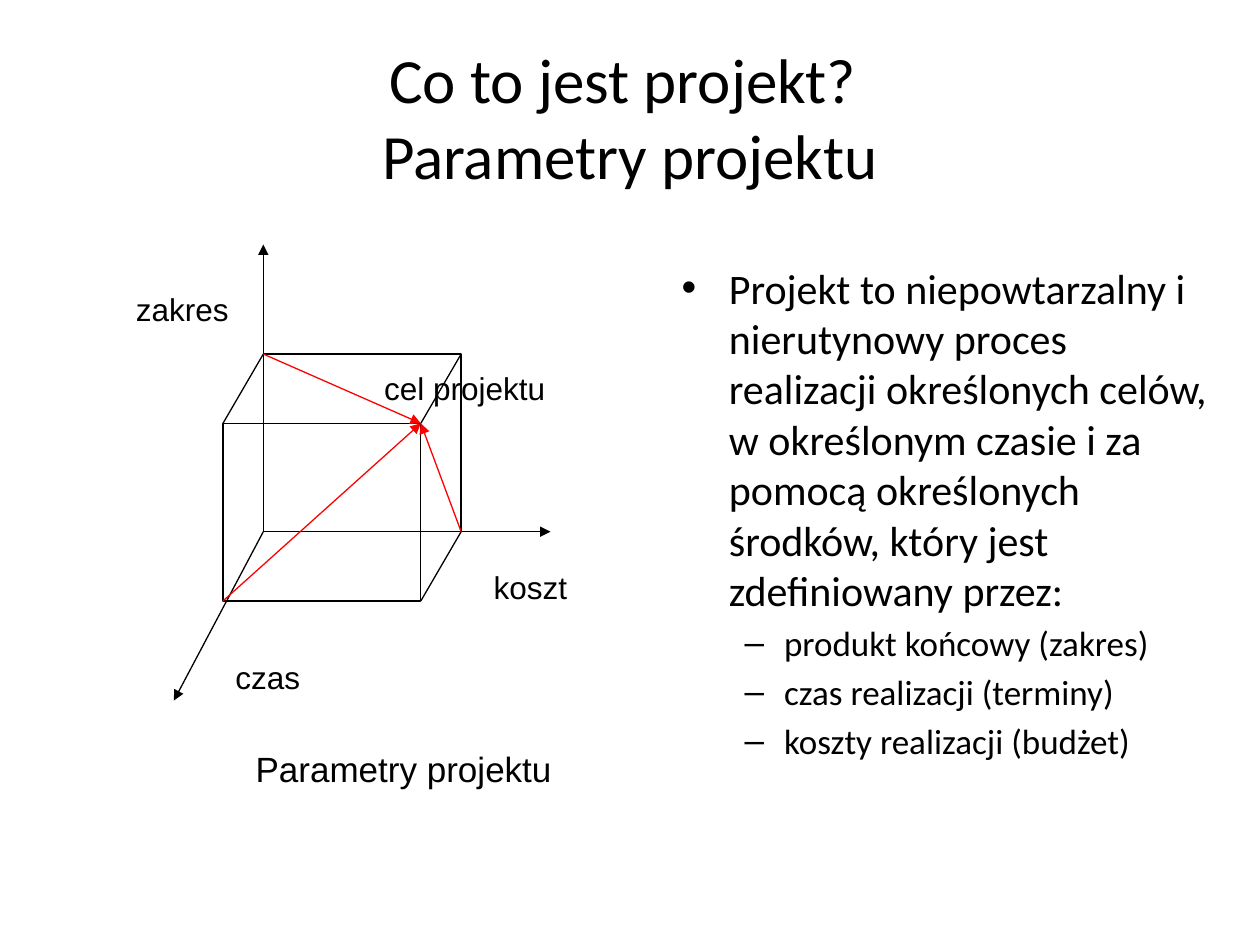
from dataclasses import dataclass

from lxml.etree import SubElement
from pptx import Presentation
from pptx.dml.color import RGBColor
from pptx.enum.shapes import MSO_CONNECTOR as Connector, MSO_SHAPE as Shape
from pptx.enum.text import MSO_AUTO_SIZE as AutoSize
from pptx.oxml.ns import qn
from pptx.slide import Slide
from pptx.util import Inches, Pt

COLORS = {"ink": "000000", "goal": "FF0000"}
LINE_WIDTH = Pt(0.75)


@dataclass(frozen=True)
class Point:
    x: float
    y: float

    def moved(self, right: float = 0, down: float = 0) -> "Point":
        return Point(self.x + right, self.y + down)


@dataclass(frozen=True)
class Segment:
    start: Point
    end: Point
    color: str = "ink"
    arrow: bool = False


@dataclass(frozen=True)
class Label:
    text: str
    corner: Point
    width: float
    height: float = 0.4
    size: int = 18


CUBE_WIDTH, CUBE_HEIGHT = 1.57, 1.41
DEPTH_X, DEPTH_Y = -0.32, 0.55

origin = Point(2.09, 4.22)
back_top_left = origin.moved(down=-CUBE_HEIGHT)
back_top_right = back_top_left.moved(CUBE_WIDTH)
back_bottom_right = origin.moved(CUBE_WIDTH)
front_top_left = back_top_left.moved(DEPTH_X, DEPTH_Y)
front_bottom_left = origin.moved(DEPTH_X, DEPTH_Y)
front_bottom_right = back_bottom_right.moved(DEPTH_X, DEPTH_Y)
goal = back_top_right.moved(DEPTH_X, DEPTH_Y)

AXES = [
    Segment(origin, tip, arrow=True)
    for tip in (Point(2.09, 1.94), Point(4.37, 4.22), Point(1.38, 5.56))
]
DEPTH_EDGES = [
    Segment(front_top_left, back_top_left),
    Segment(goal, back_top_right),
    Segment(front_bottom_right, back_bottom_right),
]
GOAL_ARROWS = [
    Segment(start, goal, "goal", True)
    for start in (front_bottom_left, back_top_left, back_bottom_right)
]
LABELS = [
    Label("koszt", Point(3.82, 4.46), 1.1),
    Label("zakres", Point(0.98, 2.25), 0.94),
    Label("czas", Point(1.77, 5.17), 0.79),
    Label("cel projektu", Point(2.95, 2.88), 1.65),
    Label("Parametry projektu", Point(1.93, 5.88), 2.99, 0.43, 20),
]
BODY = [
    (0, "Projekt to niepowtarzalny i nierutynowy proces realizacji określonych "
        "celów, w określonym czasie i za pomocą określonych środków, który jest "
        "zdefiniowany przez:"),
    (1, "produkt końcowy (zakres)"),
    (1, "czas realizacji (terminy)"),
    (1, "koszty realizacji (budżet)"),
]
BODY_SIZES = {0: 24, 1: 20}


def place(shape, left: float, top: float, width: float, height: float) -> None:
    shape.left, shape.top = Inches(left), Inches(top)
    shape.width, shape.height = Inches(width), Inches(height)


def format_runs(para, size: int, font_name: str) -> None:
    for run in para.runs:
        run.font.size = Pt(size)
        run.font.name = font_name
        run.font.color.rgb = RGBColor.from_string(COLORS["ink"])


def draw_segment(slide: Slide, segment: Segment) -> None:
    start, end = segment.start, segment.end
    connector = slide.shapes.add_connector(
        Connector.STRAIGHT,
        Inches(start.x), Inches(start.y), Inches(end.x), Inches(end.y),
    )
    connector.line.width = LINE_WIDTH
    connector.line.color.rgb = RGBColor.from_string(COLORS[segment.color])
    if segment.arrow:
        line = connector.line._get_or_add_ln()
        SubElement(line, qn("a:tailEnd"), type="triangle")
    SubElement(connector._element.spPr, qn("a:effectLst"))


def draw_face(slide: Slide, corner: Point) -> None:
    face = slide.shapes.add_shape(
        Shape.RECTANGLE, Inches(corner.x), Inches(corner.y),
        Inches(CUBE_WIDTH), Inches(CUBE_HEIGHT),
    )
    face.shadow.inherit = False
    face.fill.background()
    face.line.width = LINE_WIDTH
    face.line.color.rgb = RGBColor.from_string(COLORS["ink"])


def draw_label(slide: Slide, label: Label) -> None:
    box = slide.shapes.add_textbox(
        Inches(label.corner.x), Inches(label.corner.y),
        Inches(label.width), Inches(label.height),
    )
    frame = box.text_frame
    frame.word_wrap = True
    frame.auto_size = AutoSize.SHAPE_TO_FIT_TEXT
    frame.text = label.text
    format_runs(frame.paragraphs[0], label.size, "Arial")


def fill_title(slide: Slide) -> None:
    title = slide.shapes.title
    place(title, 0.5, 0.3, 9, 1.25)
    title.text_frame.auto_size = AutoSize.NONE
    title.text_frame.text = "Co to jest projekt? \vParametry projektu"
    format_runs(title.text_frame.paragraphs[0], 36, "Calibri")


def fill_body(slide: Slide) -> None:
    body = slide.placeholders[1]
    place(body, 5.31, 2.03, 4.42, 4.95)
    frame = body.text_frame
    frame.auto_size = AutoSize.NONE
    for index, (level, text) in enumerate(BODY):
        para = frame.add_paragraph() if index else frame.paragraphs[0]
        para.text = text
        para.level = level
        format_runs(para, BODY_SIZES[level], "Calibri")


def main() -> None:
    deck = Presentation()
    deck.slide_width, deck.slide_height = Inches(10), Inches(7.5)
    slide = deck.slides.add_slide(deck.slide_layouts[1])
    fill_title(slide)
    fill_body(slide)
    for axis in AXES:
        draw_segment(slide, axis)
    for corner in (back_top_left, front_top_left):
        draw_face(slide, corner)
    for segment in DEPTH_EDGES + GOAL_ARROWS:
        draw_segment(slide, segment)
    for label in LABELS:
        draw_label(slide, label)
    deck.save("out.pptx")


if __name__ == "__main__":
    main()
